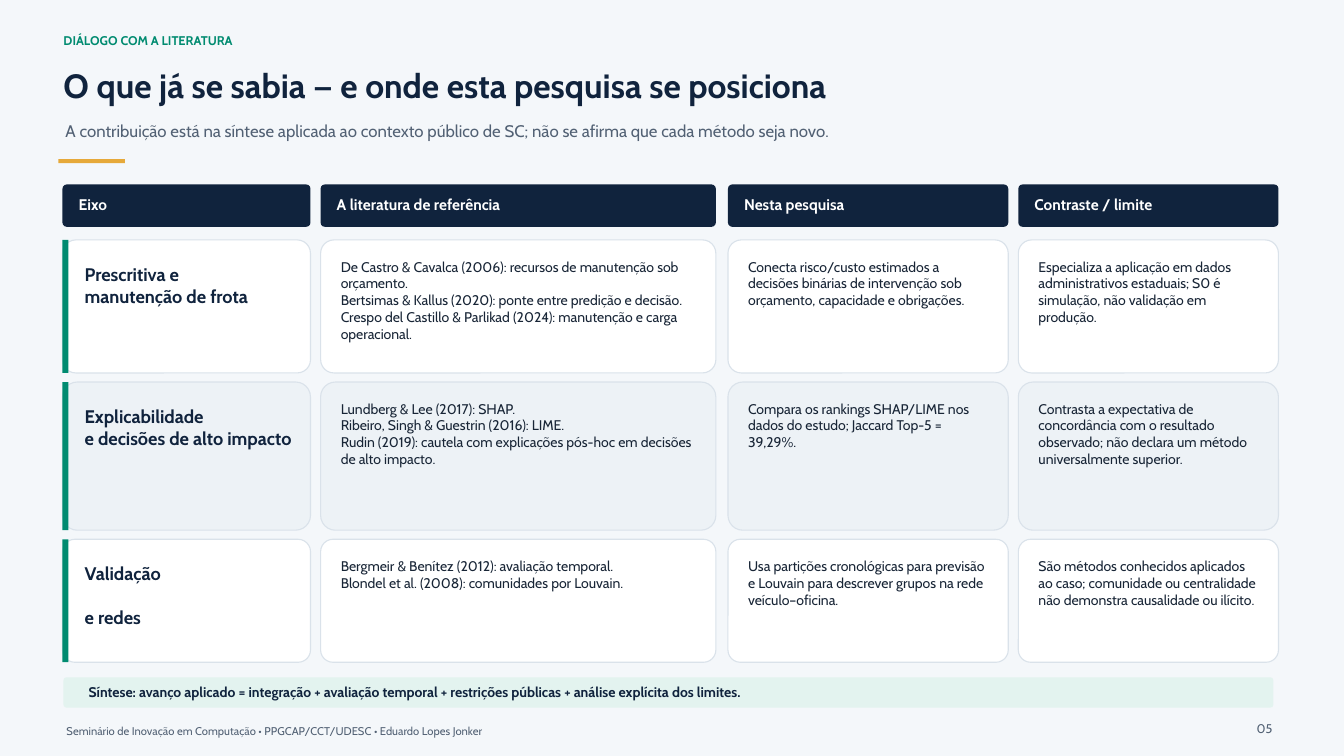
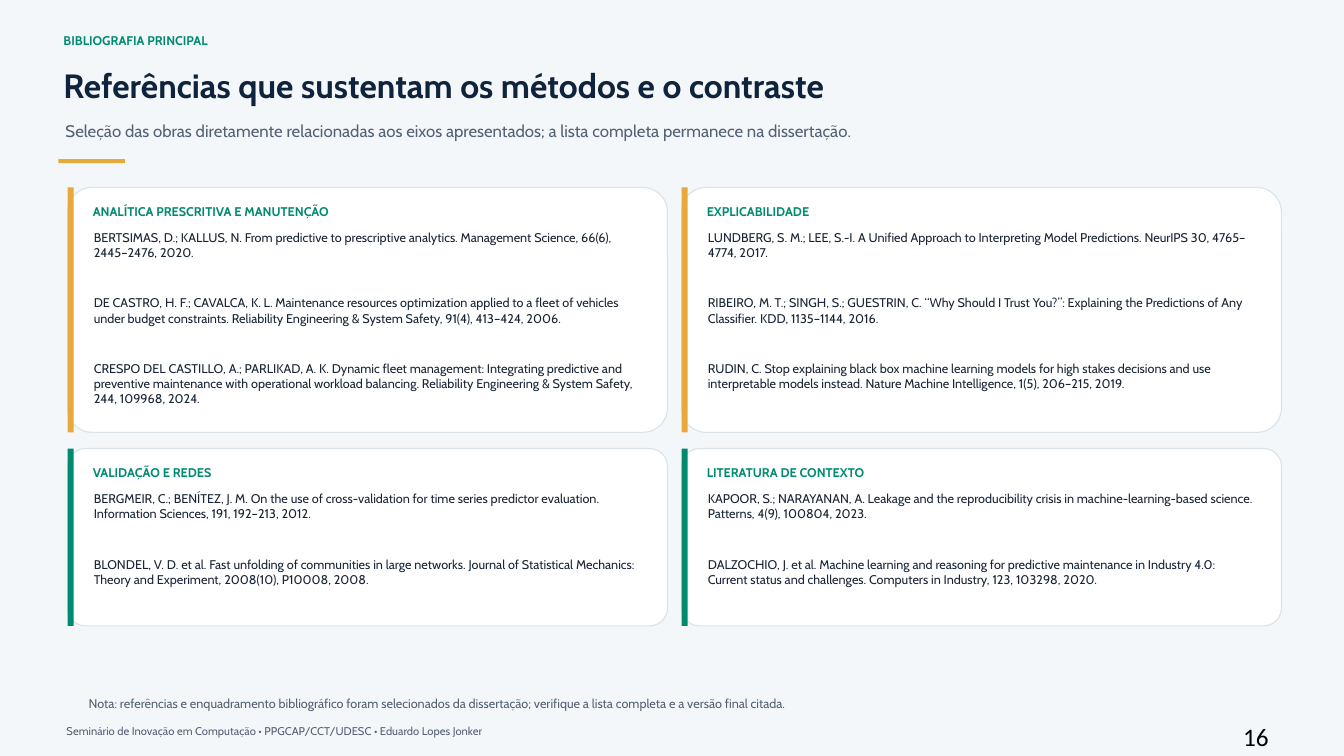
"""Build two slides on the literature behind a study: a contrast grid and the references."""
from pptx import Presentation
from pptx.dml.color import RGBColor
from pptx.enum.shapes import MSO_SHAPE
from pptx.enum.text import MSO_ANCHOR, MSO_AUTO_SIZE, PP_ALIGN
from pptx.util import Emu, Pt

PX = 9144
RECT, ROUND = MSO_SHAPE.RECTANGLE, MSO_SHAPE.ROUNDED_RECTANGLE
TOP, MIDDLE = MSO_ANCHOR.TOP, MSO_ANCHOR.MIDDLE
LEFT, RIGHT = PP_ALIGN.LEFT, PP_ALIGN.RIGHT
GROW = MSO_AUTO_SIZE.SHAPE_TO_FIT_TEXT

PAPER, WHITE, MIST, MINT = "F4F7FA", "FFFFFF", "EDF2F6", "E3F3EF"
NAVY, INK, SLATE, EDGE = "10233D", "182536", "526174", "DAE2EA"
GREEN, AMBER, BLACK = "008B70", "E6A93A", "000000"

STYLES = {
    "label": (GREEN, {"name": "Cabin", "size": Pt(9), "bold": True}),
    "title": (NAVY, {"name": "Cabin", "size": Pt(24), "bold": True}),
    "lead": (SLATE, {"name": "Cabin", "size": Pt(12)}),
    "foot": (SLATE, {"name": "Cabin", "size": Pt(8)}),
    "note": (SLATE, {"name": "Cabin", "size": Pt(9)}),
    "plain": (BLACK, {"name": "Calibri", "size": Pt(18)}),
    "head": (WHITE, {"name": "Cabin", "size": Pt(11), "bold": True}),
    "axis": (NAVY, {"name": "Cabin", "size": Pt(13), "bold": True}),
    "body": (INK, {"name": "Cabin", "size": Pt(10)}),
    "sum": (NAVY, {"name": "Cabin", "size": Pt(10), "bold": True}),
    "ref": (INK, {"name": "Cabin", "size": Pt(9)}),
}

FOOTER = "Seminário de Inovação em Computação • PPGCAP/CCT/UDESC • Eduardo Lopes Jonker"

GRID = {
    "label": "DIÁLOGO COM A LITERATURA",
    "title": "O que já se sabia — e onde esta pesquisa se posiciona",
    "lead": "A contribuição está na síntese aplicada ao contexto público de SC; "
            "não se afirma que cada método seja novo.",
    "page": ("05", "note", RIGHT),
}
COLS = [
    ("Eixo", 62, 246),
    ("A literatura de referência", 318, 392),
    ("Nesta pesquisa", 722, 278),
    ("Contraste / limite", 1010, 258),
]
ROWS = [
    (132, WHITE, 0, [
        ["Prescritiva e", "manutenção de frota"],
        ["De Castro & Cavalca (2006): recursos de manutenção sob orçamento.",
         "Bertsimas & Kallus (2020): ponte entre predição e decisão.",
         "Crespo del Castillo & Parlikad (2024): manutenção e carga operacional."],
        ["Conecta risco/custo estimados a decisões binárias de intervenção sob "
         "orçamento, capacidade e obrigações."],
        ["Especializa a aplicação em dados administrativos estaduais; S0 é "
         "simulação, não validação em produção."],
    ]),
    (147, MIST, 0, [
        ["Explicabilidade", "e decisões de alto impacto"],
        ["Lundberg & Lee (2017): SHAP.",
         "Ribeiro, Singh & Guestrin (2016): LIME.",
         "Rudin (2019): cautela com explicações pós-hoc em decisões de alto impacto."],
        ["Compara os rankings SHAP/LIME nos dados do estudo; Jaccard Top-5 = 39,29%."],
        ["Contrasta a expectativa de concordância com o resultado observado; "
         "não declara um método universalmente superior."],
    ]),
    (122, WHITE, 16, [
        ["Validação", "e redes"],
        ["Bergmeir & Benítez (2012): avaliação temporal.",
         "Blondel et al. (2008): comunidades por Louvain."],
        ["Usa partições cronológicas para previsão e Louvain para descrever "
         "grupos na rede veículo–oficina."],
        ["São métodos conhecidos aplicados ao caso; comunidade ou centralidade "
         "não demonstra causalidade ou ilícito."],
    ]),
]
SUM = ("Síntese: avanço aplicado = integração + avaliação temporal + "
       "restrições públicas + análise explícita dos limites.")

WORKS = {
    "label": "BIBLIOGRAFIA PRINCIPAL",
    "title": "Referências que sustentam os métodos e o contraste",
    "lead": "Seleção das obras diretamente relacionadas aos eixos apresentados; "
            "a lista completa permanece na dissertação.",
    "page": ("16", "plain", LEFT),
}
BANDS = [
    (243, AMBER, [
        ("ANALÍTICA PRESCRITIVA E MANUTENÇÃO", [
            "BERTSIMAS, D.; KALLUS, N. From predictive to prescriptive analytics. "
            "Management Science, 66(6), 2445–2476, 2020.",
            "DE CASTRO, H. F.; CAVALCA, K. L. Maintenance resources optimization applied "
            "to a fleet of vehicles under budget constraints. Reliability Engineering & "
            "System Safety, 91(4), 413–424, 2006.",
            "CRESPO DEL CASTILLO, A.; PARLIKAD, A. K. Dynamic fleet management: "
            "Integrating predictive and preventive maintenance with operational workload "
            "balancing. Reliability Engineering & System Safety, 244, 109968, 2024.",
        ]),
        ("EXPLICABILIDADE", [
            "LUNDBERG, S. M.; LEE, S.-I. A Unified Approach to Interpreting Model "
            "Predictions. NeurIPS 30, 4765–4774, 2017.",
            "RIBEIRO, M. T.; SINGH, S.; GUESTRIN, C. “Why Should I Trust You?”: "
            "Explaining the Predictions of Any Classifier. KDD, 1135–1144, 2016.",
            "RUDIN, C. Stop explaining black box machine learning models for high stakes "
            "decisions and use interpretable models instead. Nature Machine "
            "Intelligence, 1(5), 206–215, 2019.",
        ]),
    ]),
    (176, GREEN, [
        ("VALIDAÇÃO E REDES", [
            "BERGMEIR, C.; BENÍTEZ, J. M. On the use of cross-validation for time series "
            "predictor evaluation. Information Sciences, 191, 192–213, 2012.",
            "BLONDEL, V. D. et al. Fast unfolding of communities in large networks. "
            "Journal of Statistical Mechanics: Theory and Experiment, 2008(10), "
            "P10008, 2008.",
        ]),
        ("LITERATURA DE CONTEXTO", [
            "KAPOOR, S.; NARAYANAN, A. Leakage and the reproducibility crisis in "
            "machine-learning-based science. Patterns, 4(9), 100804, 2023.",
            "DALZOCHIO, J. et al. Machine learning and reasoning for predictive "
            "maintenance in Industry 4.0: Current status and challenges. Computers in "
            "Industry, 123, 103298, 2020.",
        ]),
    ]),
]
NOTE = ("Nota: referências e enquadramento bibliográfico foram selecionados da "
        "dissertação; verifique a lista completa e a versão final citada.")


def paint(part, color):
    part.solid()
    part.fore_color.rgb = RGBColor.from_string(color)


def emu(*box):
    return [Emu(n * PX) for n in box]


def block(slide, kind, box, color, edge=None):
    shape = slide.shapes.add_shape(kind, *emu(*box))
    shape.shadow.inherit = False
    paint(shape.fill, color)
    if kind == ROUND:
        shape.adjustments[0] = 0.1
    if edge:
        paint(shape.line.fill, edge)
        shape.line.width = Pt(0.8)
    else:
        shape.line.fill.background()


def card(slide, box, color, edge=EDGE):
    block(slide, ROUND, box, color, edge)


def stripe(slide, x, y, high, color):
    block(slide, RECT, (x, y, 6, high), color)


def write(slide, box, lines, style, align=LEFT, anchor=TOP, gap=0):
    frame = slide.shapes.add_textbox(*emu(*box)).text_frame
    inset = Emu(8 * PX)
    form = {"word_wrap": True, "auto_size": GROW, "vertical_anchor": anchor,
            "margin_left": inset, "margin_right": inset,
            "margin_top": inset, "margin_bottom": inset}
    for key, value in form.items():
        setattr(frame, key, value)
    color, font = STYLES[style]
    for i, line in enumerate(lines):
        para = frame.add_paragraph() if i else frame.paragraphs[0]
        para.alignment = align
        if i and gap:
            para.space_before = Pt(gap)
        run = para.add_run()
        run.text = line
        for key, value in font.items():
            setattr(run.font, key, value)
        run.font.color.rgb = RGBColor.from_string(color)


def start(deck, info):
    slide = deck.slides.add_slide(deck.slide_layouts[6])
    paint(slide.background.fill, PAPER)
    write(slide, (55, 25, 1220, 24), [info["label"]], "label")
    write(slide, (55, 56, 1220, 52), [info["title"]], "title")
    write(slide, (57, 112, 1210, 38), [info["lead"]], "lead")
    block(slide, RECT, (58, 158, 66, 4), AMBER)
    write(slide, (58, 712, 1160, 20), [FOOTER], "foot")
    page, style, align = info["page"]
    write(slide, (1225, 708, 45, 20), [page], style, align)
    return slide


def grid(deck):
    slide = start(deck, GRID)
    for name, x, wide in COLS:
        card(slide, (x, 183, wide, 42), NAVY, None)
        write(slide, (x + 8, 193, wide - 16, 20), [name], "head", anchor=MIDDLE)
    y = 238
    for high, color, gap, cells in ROWS:
        for i, ((_, x, wide), lines) in enumerate(zip(COLS, cells)):
            card(slide, (x, y, wide, high), color)
            if i:
                write(slide, (x + 12, y + 10, wide - 24, high - 17), lines, "body")
            else:
                stripe(slide, x, y, high, GREEN)
                write(slide, (x + 14, y + 15, wide - 23, high - 25), lines, "axis", gap=gap)
        y += high + 9
    card(slide, (63, 672, 1200, 30), MINT, None)
    write(slide, (80, 677, 1160, 19), [SUM], "sum", anchor=MIDDLE)


def works(deck):
    slide = start(deck, WORKS)
    wide, y = 595, 186
    for high, color, groups in BANDS:
        for i, (name, refs) in enumerate(groups):
            x = 67 + i * (wide + 14)
            card(slide, (x, y, wide, high), WHITE)
            stripe(slide, x, y, high, color)
            write(slide, (x + 17, y + 9, wide - 34, 20), [name], "label")
            for j, ref in enumerate(refs):
                write(slide, (x + 18, y + 34 + 65 * j, wide - 36, 58), [ref], "ref")
        y += high + 16
    write(slide, (80, 683, 1160, 23), [NOTE], "note")


def main():
    deck = Presentation()
    deck.slide_width, deck.slide_height = emu(1333, 750)
    grid(deck)
    works(deck)
    deck.save("out.pptx")


if __name__ == "__main__":
    main()
